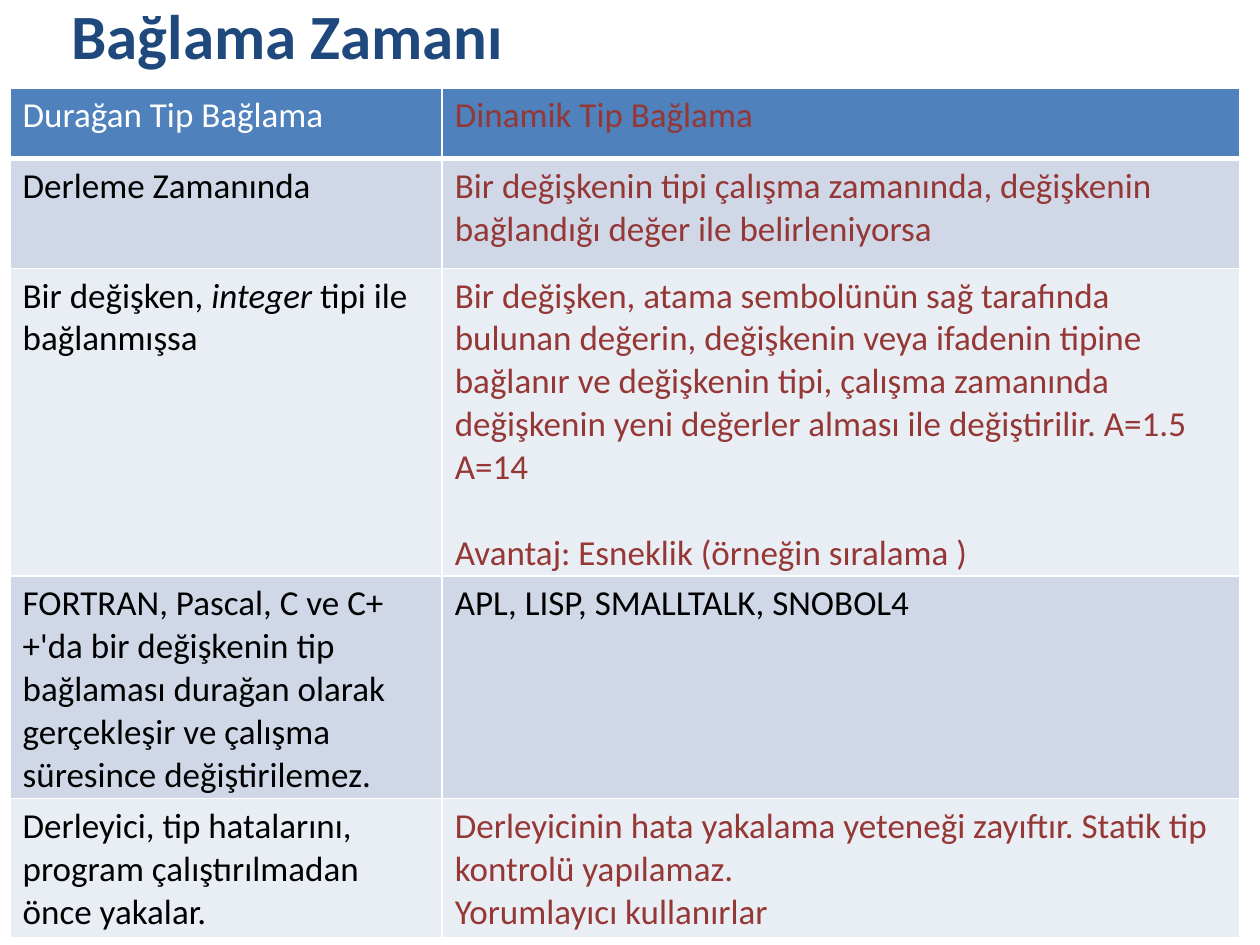
"""Build a slide comparing static and dynamic type binding."""
from lxml.etree import SubElement
from pptx import Presentation
from pptx.dml.color import RGBColor
from pptx.enum.text import MSO_ANCHOR
from pptx.oxml.ns import qn
from pptx.util import Inches, Pt

COLORS = {
    "title": "1F497D", "head": "4F81BD", "dark": "D0D8E8", "light": "E9EDF4",
    "white": "FFFFFF", "black": "000000", "red": "953735",
}
TITLE = "Bağlama Zamanı"
ROWS = [
    (0.56, "head", [
        ("white", [["Durağan Tip Bağlama"]]),
        ("red", [["Dinamik Tip Bağlama"]]),
    ]),
    (0.87, "dark", [
        ("black", [["Derleme Zamanında"]]),
        ("red", [["Bir değişkenin tipi çalışma zamanında, değişkenin "
                  "bağlandığı değer ile belirleniyorsa"]]),
    ]),
    (2.03, "light", [
        ("black", [["Bir değişken, ", "integer", " tipi ile bağlanmışsa"]]),
        ("red", [["Bir değişken, atama sembolünün sağ tarafında bulunan "
                  "değerin, değişkenin veya ifadenin tipine bağlanır ve "
                  "değişkenin tipi, çalışma zamanında değişkenin yeni "
                  "değerler alması ile değiştirilir. A=1.5 A=14"],
                 ["Avantaj: Esneklik (örneğin sıralama )"]]),
    ]),
    (1.39, "dark", [
        ("black", [["FORTRAN, Pascal, C ve C++'da bir değişkenin tip "
                    "bağlaması durağan olarak gerçekleşir ve çalışma "
                    "süresince değiştirilemez."]]),
        ("black", [["APL, LISP, SMALLTALK, SNOBOL4"]]),
    ]),
    (0.97, "light", [
        ("black", [["Derleyici, tip hatalarını, program çalıştırılmadan "
                    "önce yakalar."]]),
        ("red", [["Derleyicinin hata yakalama yeteneği zayıftır. Statik "
                  "tip kontrolü yapılamaz."],
                 ["Yorumlayıcı kullanırlar"]]),
    ]),
]
WIDTHS = [3.43, 6.33]
GAPS = {"Avantaj: Esneklik (örneğin sıralama )": 24.5}
ITALIC = {"integer"}
FORMATS = {
    "title": {"name": "Calibri", "size": Pt(36), "bold": True},
    "cell": {"name": "Calibri", "size": Pt(20), "bold": False},
}


def tint(name):
    return RGBColor.from_string(COLORS[name])


def style(font, kind, color):
    for key, value in FORMATS[kind].items():
        setattr(font, key, value)
    font.color.rgb = tint(color)


def write(frame, paras, kind, color):
    for i, parts in enumerate(paras):
        para = frame.add_paragraph() if i else frame.paragraphs[0]
        if parts[0] in GAPS:
            para.space_before = Pt(GAPS[parts[0]])
        for part in parts:
            run = para.add_run()
            run.text = part
            style(run.font, kind, color)
            if part in ITALIC:
                run.font.italic = True


def border(cell, base):
    props = cell._tc.get_or_add_tcPr()
    for side, width in {"L": 1, "R": 1, "T": 1, "B": base}.items():
        line = SubElement(props, qn(f"a:ln{side}"), w=str(Pt(width)))
        fill = SubElement(line, qn("a:solidFill"))
        SubElement(fill, qn("a:srgbClr"), val=COLORS["white"])


def add_title(slide):
    box = slide.shapes.add_textbox(
        Inches(0.47), Inches(0.08), Inches(9), Inches(0.39))
    frame = box.text_frame
    frame.word_wrap = True
    frame.vertical_anchor = MSO_ANCHOR.MIDDLE
    write(frame, [[TITLE]], "title", "title")


def add_grid(slide):
    high = sum(row[0] for row in ROWS)
    table = slide.shapes.add_table(
        len(ROWS), len(WIDTHS), Inches(0.08), Inches(0.7),
        Inches(sum(WIDTHS)), Inches(high)).table
    table.first_row = table.horz_banding = False
    for col, width in zip(table.columns, WIDTHS):
        col.width = Inches(width)
    for row, (height, fill, cells) in zip(table.rows, ROWS):
        row.height = Inches(height)
        for cell, (color, paras) in zip(row.cells, cells):
            border(cell, 3 if fill == "head" else 1)
            cell.fill.solid()
            cell.fill.fore_color.rgb = tint(fill)
            write(cell.text_frame, paras, "cell", color)


def main():
    deck = Presentation()
    deck.slide_width, deck.slide_height = Inches(10), Inches(7.5)
    slide = deck.slides.add_slide(deck.slide_layouts[6])
    add_title(slide)
    add_grid(slide)
    deck.save("out.pptx")


if __name__ == "__main__":
    main()
